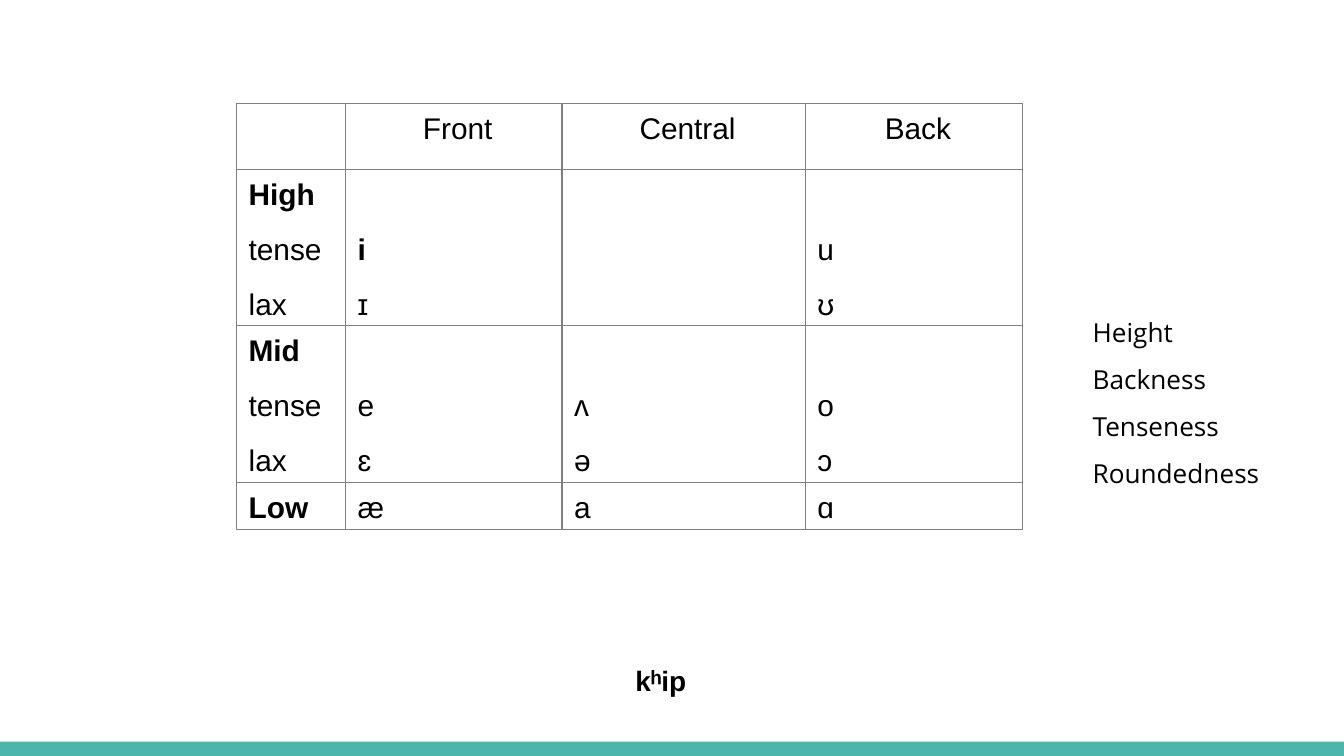
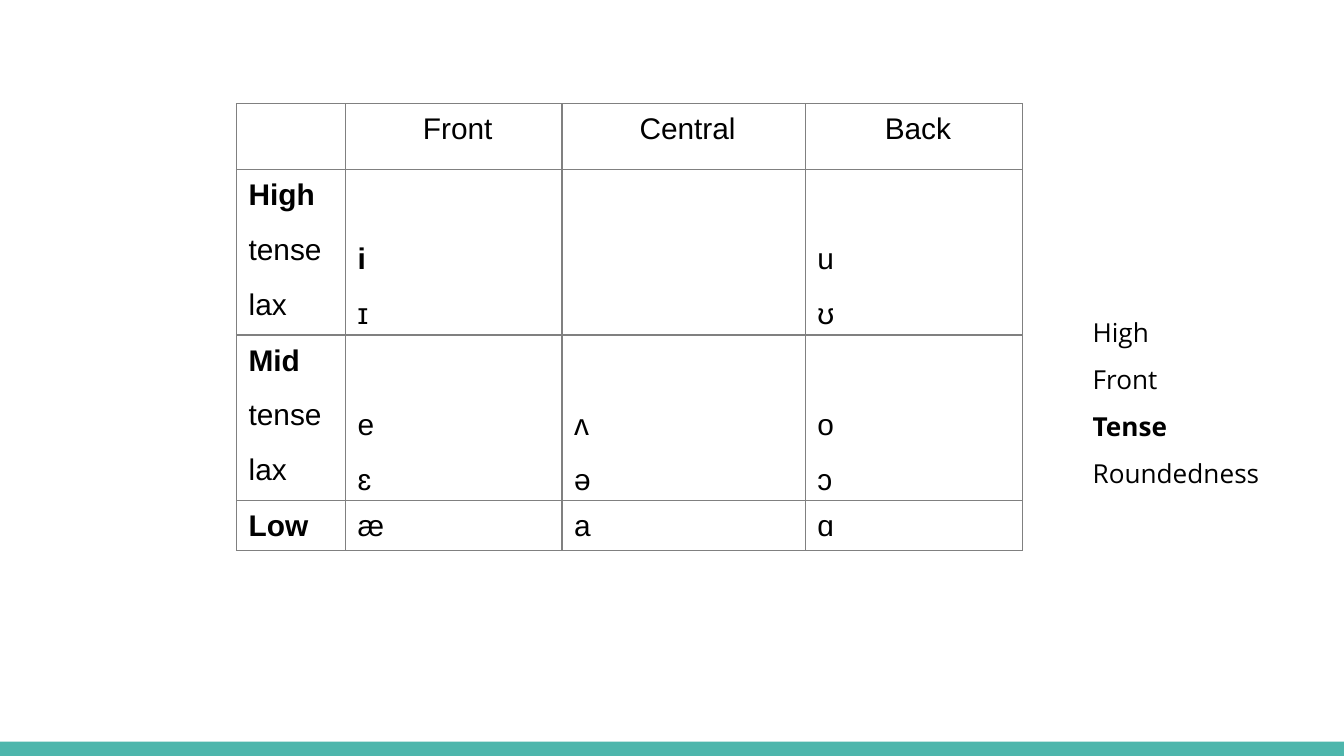
from dataclasses import dataclass

from lxml import etree
from pptx import Presentation
from pptx.dml.color import RGBColor
from pptx.enum.shapes import MSO_SHAPE
from pptx.enum.text import MSO_ANCHOR, PP_ALIGN
from pptx.oxml.ns import qn
from pptx.util import Cm, Pt

RECT = MSO_SHAPE.RECTANGLE
TOP, BOTTOM = MSO_ANCHOR.TOP, MSO_ANCHOR.BOTTOM
LEFT, CENTER = PP_ALIGN.LEFT, PP_ALIGN.CENTER


@dataclass(frozen=True)
class Theme:
    band: str = "4DB6AC"
    grid: str = "808080"
    ink: str = "000000"
    sans: str = "Arial"
    body: str = "Open Sans"
    cell: int = 16
    list: int = 14
    word: int = 15
    rule: float = 0.75
    gap: int = 9


THEME = Theme()
WIDE, HIGH = 25.4, 14.29
BAND = 0.27
CHART_BOX = (4.47, 1.96)
LIST_BOX = (20.4, 5.44, 4.01, 1.55)
WORD_BOX = (11.76, 12.29, 2.31, 1.83)

COLS = (2.06, 4.09, 4.6, 4.11)
ROWS = (1.24, 2.94, 2.94, 0.85)
VOWELS = (
    ("", "Front", "Central", "Back"),
    ("High\ntense\nlax", "i\nɪ", "", "u\nʊ"),
    ("Mid\ntense\nlax", "e\nɛ", "ʌ\nə", "o\nɔ"),
    ("Low", "æ", "a", "ɑ"),
)
STRONG = ("High", "Mid", "Low", "i")


def write(frame, lines, font, size, bold=(), align=LEFT, pitch=1.0, gap=0):
    for i, line in enumerate(lines):
        para = frame.paragraphs[0] if i == 0 else frame.add_paragraph()
        para.text = line
        para.alignment = align
        para.line_spacing = pitch
        if i and gap:
            para.space_before = Pt(gap)
        para.font.name = font
        para.font.size = Pt(size)
        para.font.bold = line in bold
        para.font.color.rgb = RGBColor.from_string(THEME.ink)


def add_text(slide, box, lines, font, size, **style):
    frame = slide.shapes.add_textbox(*map(Cm, box)).text_frame
    frame.word_wrap = True
    frame.margin_left = frame.margin_right = Cm(0.25)
    frame.margin_top = frame.margin_bottom = Cm(0.25)
    write(frame, lines, font, size, **style)


def add_band(slide):
    band = slide.shapes.add_shape(RECT, 0, Cm(HIGH - BAND), Cm(WIDE), Cm(BAND))
    band.shadow.inherit = False
    band.fill.solid()
    band.fill.fore_color.rgb = RGBColor.from_string(THEME.band)
    band.line.fill.background()


def rule_cell(cell):
    """Draw the four borders, then clear the fill."""
    props = cell._tc.get_or_add_tcPr()
    for side in ("lnL", "lnR", "lnT", "lnB"):
        line = etree.SubElement(props, qn(f"a:{side}"), w=str(Pt(THEME.rule)))
        fill = etree.SubElement(line, qn("a:solidFill"))
        etree.SubElement(fill, qn("a:srgbClr"), val=THEME.grid)
    cell.fill.background()


def add_chart(slide, box):
    """Lay out the vowel chart from the top left corner given."""
    table = slide.shapes.add_table(
        len(ROWS), len(COLS), *map(Cm, box), Cm(sum(COLS)), Cm(sum(ROWS))
    ).table
    table.first_row = table.horz_banding = False
    for col, width in zip(table.columns, COLS):
        col.width = Cm(width)
    for r, (high, texts) in enumerate(zip(ROWS, VOWELS)):
        table.rows[r].height = Cm(high)
        for c, text in enumerate(texts):
            cell = table.cell(r, c)
            rule_cell(cell)
            cell.margin_left = Cm(0.23)
            cell.margin_right = cell.margin_top = cell.margin_bottom = Cm(0.08)
            # Vowels sit level with the tense and lax labels
            cell.vertical_anchor = BOTTOM if "\n" in text and c else TOP
            if text:
                write(cell.text_frame, text.split("\n"), THEME.sans, THEME.cell,
                      bold=STRONG, align=LEFT if r else CENTER,
                      pitch=1.15, gap=THEME.gap)


def add_page(deck, traits, bold=(), word=None):
    slide = deck.slides.add_slide(deck.slide_layouts[6])
    add_band(slide)
    add_chart(slide, CHART_BOX)
    add_text(slide, LIST_BOX, traits, THEME.body, THEME.list,
             bold=bold, pitch=1.5)
    if word:
        add_text(slide, WORD_BOX, [word], THEME.sans, THEME.word, bold=[word])


def main():
    deck = Presentation()
    deck.slide_width, deck.slide_height = Cm(WIDE), Cm(HIGH)
    add_page(deck, ("Height", "Backness", "Tenseness", "Roundedness"),
             word="kʰip")
    add_page(deck, ("High", "Front", "Tense", "Roundedness"), bold=("Tense",))
    deck.save("out.pptx")


if __name__ == "__main__":
    main()
